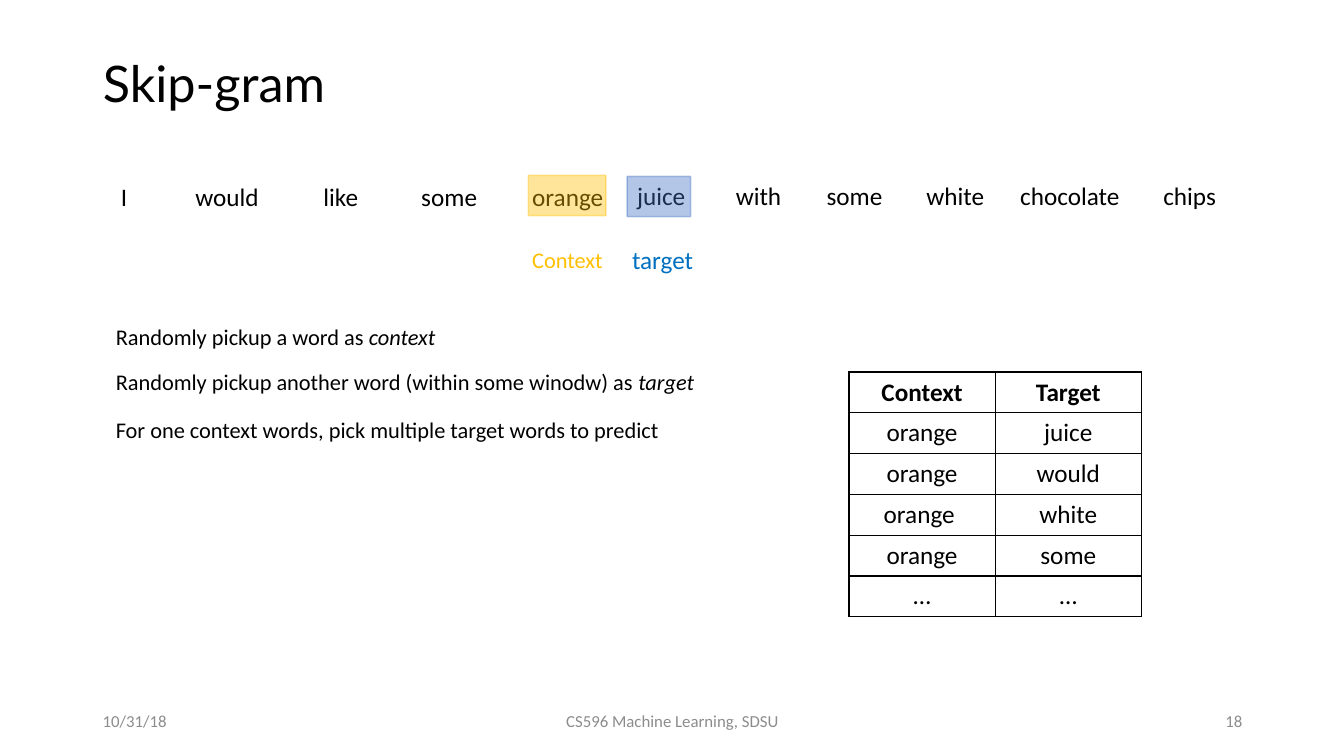
from dataclasses import dataclass, field

from lxml.etree import SubElement
from pptx import Presentation
from pptx.dml.color import RGBColor
from pptx.enum.shapes import MSO_SHAPE
from pptx.enum.text import MSO_ANCHOR, MSO_AUTO_SIZE, PP_ALIGN
from pptx.oxml.ns import qn
from pptx.util import Inches, Pt

BLACK, GREY, GOLD, BLUE, NAVY = "000000", "8C8C8C", "FFC000", "0070C0", "4472C4"


@dataclass
class Label:
    text: str
    left: float
    top: float
    width: float
    height: float = 0.4
    size: int = 18
    color: str = BLACK
    tail: str = ""  # closing words in italics
    frame: dict = field(default_factory=lambda: {
        "word_wrap": False, "auto_size": MSO_AUTO_SIZE.SHAPE_TO_FIT_TEXT})
    align: PP_ALIGN = PP_ALIGN.LEFT


@dataclass
class Mark:
    left: float
    top: float
    width: float
    color: str


def paint(target, color: str) -> None:
    target.rgb = RGBColor.from_string(color)


def style(item, values: dict) -> None:
    for name, value in values.items():
        setattr(item, name, value)


def add_run(para, text: str, size: int, color: str, face="Calibri", **extra) -> None:
    run = para.add_run()
    run.text = text
    style(run.font, {"name": face, "size": Pt(size), **extra})
    paint(run.font.color, color)


def add_label(shapes, label: Label) -> None:
    box = shapes.add_textbox(Inches(label.left), Inches(label.top),
                             Inches(label.width), Inches(label.height))
    style(box.text_frame, label.frame)
    para = box.text_frame.paragraphs[0]
    para.alignment = label.align
    add_run(para, label.text, label.size, label.color)
    if label.tail:
        add_run(para, label.tail, label.size, label.color, italic=True)


def add_mark(shapes, mark: Mark) -> None:
    box = shapes.add_shape(MSO_SHAPE.RECTANGLE, Inches(mark.left), Inches(mark.top),
                           Inches(mark.width), Inches(0.4))
    box.shadow.inherit = False
    box.fill.solid()
    paint(box.fill.fore_color, mark.color)
    box.line.width = Pt(1)
    paint(box.line.color, mark.color)
    for tone in box._element.spPr.iter(qn("a:srgbClr")):
        SubElement(tone, qn("a:alpha"), val="40000")


def add_edges(cell) -> None:
    props = cell._tc.get_or_add_tcPr()
    for side in ("lnL", "lnR", "lnT", "lnB"):
        edge = SubElement(props, qn(f"a:{side}"), w=str(Pt(1)))
        SubElement(SubElement(edge, qn("a:solidFill")), qn("a:srgbClr"), val=BLACK)


def add_grid(shapes, rows: list[tuple[str, str]]) -> None:
    grid = shapes.add_table(len(rows), 2, Inches(8.42), Inches(3.69),
                            Inches(2.9), Inches(2.43)).table
    for r, row in enumerate(rows):
        for c, text in enumerate(row):
            cell = grid.cell(r, c)
            add_edges(cell)
            cell.fill.background()
            cell.vertical_anchor = MSO_ANCHOR.MIDDLE
            para = cell.text_frame.paragraphs[0]
            para.alignment = PP_ALIGN.CENTER
            add_run(para, text, 18, BLACK, bold=r == 0)


def main() -> None:
    deck = Presentation()
    style(deck, {"slide_width": Inches(13.33), "slide_height": Inches(7.5)})
    slide = deck.slides.add_slide(deck.slide_layouts[5])
    shapes = slide.shapes

    # Title
    title = shapes.title
    style(title, {"left": Inches(0.92), "top": Inches(0.4),
                  "width": Inches(11.5), "height": Inches(0.91)})
    style(title.text_frame, {"vertical_anchor": MSO_ANCHOR.MIDDLE, "word_wrap": True,
                             "auto_size": MSO_AUTO_SIZE.NONE})
    para = title.text_frame.paragraphs[0]
    style(para, {"alignment": PP_ALIGN.LEFT, "line_spacing": 0.9})
    add_run(para, "Skip-gram", 36, BLACK, "Lato")

    # Footer
    foot = {"word_wrap": True, "vertical_anchor": MSO_ANCHOR.MIDDLE}
    for text, left, width, align in (
            ("10/31/18", 0.92, 3, PP_ALIGN.LEFT),
            ("CS596 Machine Learning, SDSU", 4.42, 4.5, PP_ALIGN.CENTER),
            ("18", 9.42, 3, PP_ALIGN.RIGHT)):
        add_label(shapes, Label(text, left, 6.95, width, size=12, color=GREY,
                                frame=foot, align=align))

    # Sentence, one box per word
    words = [("I", 1.1, 0.27), ("would", 1.84, 0.84), ("like", 3.11, 0.55),
             ("some", 4.08, 0.76), ("orange", 5.18, 0.92), ("juice", 6.22, 0.69),
             ("with", 7.2, 0.66), ("some", 8.1, 0.76), ("white", 9.09, 0.78),
             ("chocolate", 10.02, 1.2), ("chips", 11.44, 0.73)]
    group = shapes.add_group_shape()
    for i, (word, left, width) in enumerate(words):
        add_label(group.shapes, Label(word, left, 1.75 if i < 5 else 1.74, width))

    # Context and target words
    for mark in (Mark(5.24, 1.74, 0.77, GOLD), Mark(6.22, 1.75, 0.63, NAVY)):
        add_mark(shapes, mark)
    add_label(shapes, Label("Context", 5.18, 2.39, 0.91, 0.37, 16, GOLD))
    add_label(shapes, Label("target", 6.17, 2.37, 0.81, color=BLUE))

    # Steps
    for text, tail, top, width in (
            ("Randomly pickup a word as ", "context", 3.16, 3.41),
            ("Randomly pickup another word (within some winodw) as ", "target", 3.6, 6.01),
            ("For one context words, pick multiple target words to predict", "", 4.08, 5.66)):
        add_label(shapes, Label(text, 1.05, top, width, 0.37, 16, tail=tail))

    # Word pairs
    add_grid(shapes, [("Context", "Target"), ("orange", "juice"), ("orange", "would"),
                      ("orange ", "white"), ("orange", "some"), ("…", "…")])

    deck.save("out.pptx")


if __name__ == "__main__":
    main()
